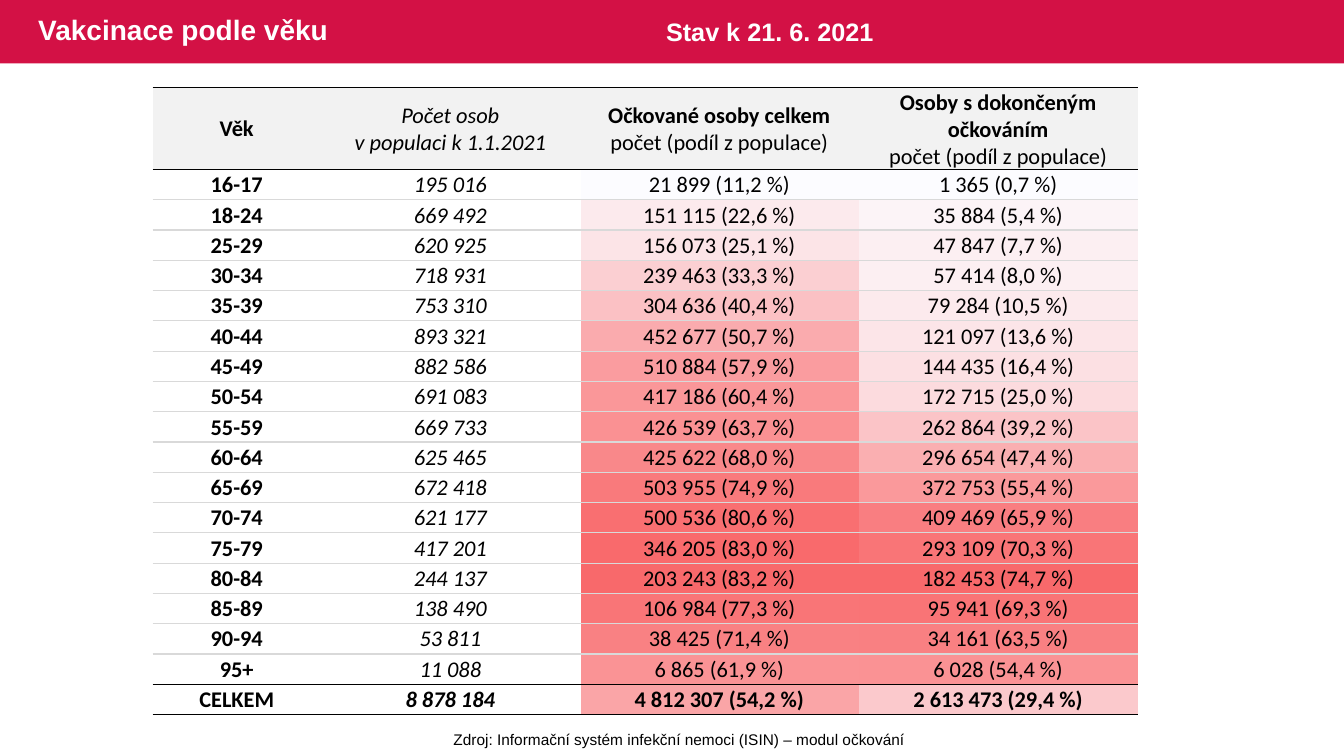
"""Build a slide with a heat-shaded table of vaccination by age group."""
from lxml import etree
from pptx import Presentation
from pptx import util as u
from pptx.dml.color import RGBColor
from pptx.enum import shapes, text
from pptx.oxml import ns

CRIMSON = RGBColor(0xD3, 0x11, 0x45)
WHITE = RGBColor(0xFF, 0xFF, 0xFF)
BLACK = RGBColor(0, 0, 0)
HEADER_GRAY = RGBColor(0xF2, 0xF2, 0xF2)
RULE_GRAY = RGBColor(0xD9, 0xD9, 0xD9)
CENTER = text.PP_ALIGN.CENTER
NO_STYLE = "{2D5ABB26-0587-4C30-8999-92F81FD0307C}"
ROW_HEIGHT = 21.64
HEADER_HEIGHT = 57.9
TABLE_TOP = 62.8
COLUMN_WIDTHS = [120.2, 185, 199.2, 199.2]

HEADERS = [
    [("Věk", True, False)],
    [("Počet osob", False, True), ("v populaci k 1.1.2021", False, True)],
    [("Očkované osoby celkem", True, False), ("počet (podíl z populace)", False, False)],
    [("Osoby s dokončeným očkováním", True, False), ("počet (podíl z populace)", False, False)],
]
AGE_GROUPS = [
    ("16-17", "195 016", "21 899 (11,2 %)", "1 365 (0,7 %)", "FCFCFF", "FCFCFF"),
    ("18-24", "669 492", "151 115 (22,6 %)", "35 884 (5,4 %)", "FCEAED", "FCF4F7"),
    ("25-29", "620 925", "156 073 (25,1 %)", "47 847 (7,7 %)", "FCE4E7", "FCEFF2"),
    ("30-34", "718 931", "239 463 (33,3 %)", "57 414 (8,0 %)", "FBCFD2", "FCEFF2"),
    ("35-39", "753 310", "304 636 (40,4 %)", "79 284 (10,5 %)", "FBC1C4", "FCEAED"),
    ("40-44", "893 321", "452 677 (50,7 %)", "121 097 (13,6 %)", "FAABAE", "FCE5E8"),
    ("45-49", "882 586", "510 884 (57,9 %)", "144 435 (16,4 %)", "FA9C9F", "FCE0E3"),
    ("50-54", "691 083", "417 186 (60,4 %)", "172 715 (25,0 %)", "FA9799", "FCDBDE"),
    ("55-59", "669 733", "426 539 (63,7 %)", "262 864 (39,2 %)", "FA9193", "FBC4C7"),
    ("60-64", "625 465", "425 622 (68,0 %)", "296 654 (47,4 %)", "F9888A", "FAAFB1"),
    ("65-69", "672 418", "503 955 (74,9 %)", "372 753 (55,4 %)", "F97A7C", "FA999B"),
    ("70-74", "621 177", "500 536 (80,6 %)", "409 469 (65,9 %)", "F96F71", "F97E81"),
    ("75-79", "417 201", "346 205 (83,0 %)", "293 109 (70,3 %)", "F96A6C", "F97577"),
    ("80-84", "244 137", "203 243 (83,2 %)", "182 453 (74,7 %)", "F8696B", "F8696B"),
    ("85-89", "138 490", "106 984 (77,3 %)", "95 941 (69,3 %)", "F97577", "F97476"),
    ("90-94", "53 811", "38 425 (71,4 %)", "34 161 (63,5 %)", "F98183", "F98082"),
    ("95+", "11 088", "6 865 (61,9 %)", "6 028 (54,4 %)", "FA9395", "FA9294"),
    ("CELKEM", "8 878 184", "4 812 307 (54,2 %)", "2 613 473 (29,4 %)", "FAA5A7", "FBC9CC"),
]


def write(paragraph, content, font="Calibri", size=16, color=BLACK,
          bold=False, italic=False, align=None, spacing=None):
    paragraph.alignment = align
    paragraph.line_spacing = spacing
    run = paragraph.add_run()
    run.text = content
    run.font.name = font
    run.font.size = u.Pt(size)
    run.font.color.rgb = color
    run.font.bold = bold
    run.font.italic = italic


def add_plain_table(slide, left, top, widths, heights):
    shape = slide.shapes.add_table(len(heights), len(widths), u.Pt(left), u.Pt(top),
                                   u.Pt(sum(widths)), u.Pt(sum(heights)))
    shape.table.first_row = False
    shape.table.horz_banding = False
    next(shape.element.iter(ns.qn("a:tableStyleId"))).text = NO_STYLE
    for column, width in zip(shape.table.columns, widths):
        column.width = u.Pt(width)
    for row, height in zip(shape.table.rows, heights):
        row.height = u.Pt(height)
    for cell in shape.table.iter_cells():
        cell.margin_left = cell.margin_right = cell.margin_top = u.Pt(0.7)
        cell.margin_bottom = u.Pt(0)
        cell.vertical_anchor = text.MSO_ANCHOR.MIDDLE
    return shape


presentation = Presentation()
presentation.slide_width = u.Pt(960)
presentation.slide_height = u.Pt(540)
slide = presentation.slides.add_slide(presentation.slide_layouts[6])

banner = slide.shapes.add_shape(shapes.MSO_SHAPE.RECTANGLE, 0, 0, u.Pt(960), u.Pt(45.2))
banner.shadow.inherit = False
banner.fill.solid()
banner.fill.fore_color.rgb = CRIMSON
banner.line.fill.background()

row_heights = [ROW_HEIGHT] * len(AGE_GROUPS)
heat_shape = add_plain_table(slide, 414.7, TABLE_TOP + HEADER_HEIGHT, COLUMN_WIDTHS[2:], row_heights)
for row_index, group in enumerate(AGE_GROUPS):
    for column_index, shade in enumerate(group[4:]):
        fill = heat_shape.table.cell(row_index, column_index).fill
        fill.solid()
        fill.fore_color.rgb = RGBColor.from_string(shade)
for empty_paragraph in heat_shape.element.iter(ns.qn("a:p")):
    etree.SubElement(empty_paragraph, ns.qn("a:endParaRPr"), sz="1000")

captions = [
    ("Vakcinace podle věku", (20.2, 0, 585.4, 45.2), True,
     dict(size=20, color=WHITE, bold=True, spacing=0.9)),
    ("Stav k 21. 6. 2021", (468.7, 8.2, 213.1, 29), True,
     dict(size=18, color=WHITE, bold=True)),
    ("Zdroj: Informační systém infekční nemoci (ISIN) – modul očkování",
     (316.1, 517.7, 338.4, 20.6), False, dict(size=11, align=CENTER)),
]
for content, box, wrap, style in captions:
    frame = slide.shapes.add_textbox(*[u.Pt(length) for length in box]).text_frame
    frame.word_wrap = wrap
    frame.vertical_anchor = text.MSO_ANCHOR.MIDDLE
    write(frame.paragraphs[0], content, font="Arial", **style)

age_table = add_plain_table(slide, 109, TABLE_TOP, COLUMN_WIDTHS, [HEADER_HEIGHT] + row_heights).table
total_row = len(AGE_GROUPS)
black_rules = {0, 1, total_row, total_row + 1}
for row_index in range(total_row + 1):
    for column_index in range(len(COLUMN_WIDTHS)):
        cell = age_table.cell(row_index, column_index)
        properties = cell.text_frame._txBody.getparent().get_or_add_tcPr()
        for tag, rule in (("a:lnT", row_index), ("a:lnB", row_index + 1)):
            line = etree.SubElement(properties, ns.qn(tag), w=str(u.Pt(1)))
            solid = etree.SubElement(line, ns.qn("a:solidFill"))
            color = BLACK if rule in black_rules else RULE_GRAY
            etree.SubElement(solid, ns.qn("a:srgbClr"), val=str(color))
        if row_index == 0:
            cell.fill.solid()
            cell.fill.fore_color.rgb = HEADER_GRAY
            lines = HEADERS[column_index]
        else:
            cell.fill.background()
            bold = column_index == 0 or row_index == total_row
            lines = [(AGE_GROUPS[row_index - 1][column_index], bold, column_index == 1)]
        for line_index, (content, bold, italic) in enumerate(lines):
            frame = cell.text_frame
            paragraph = frame.add_paragraph() if line_index else frame.paragraphs[0]
            write(paragraph, content, bold=bold, italic=italic, align=CENTER)

presentation.save("out.pptx")
